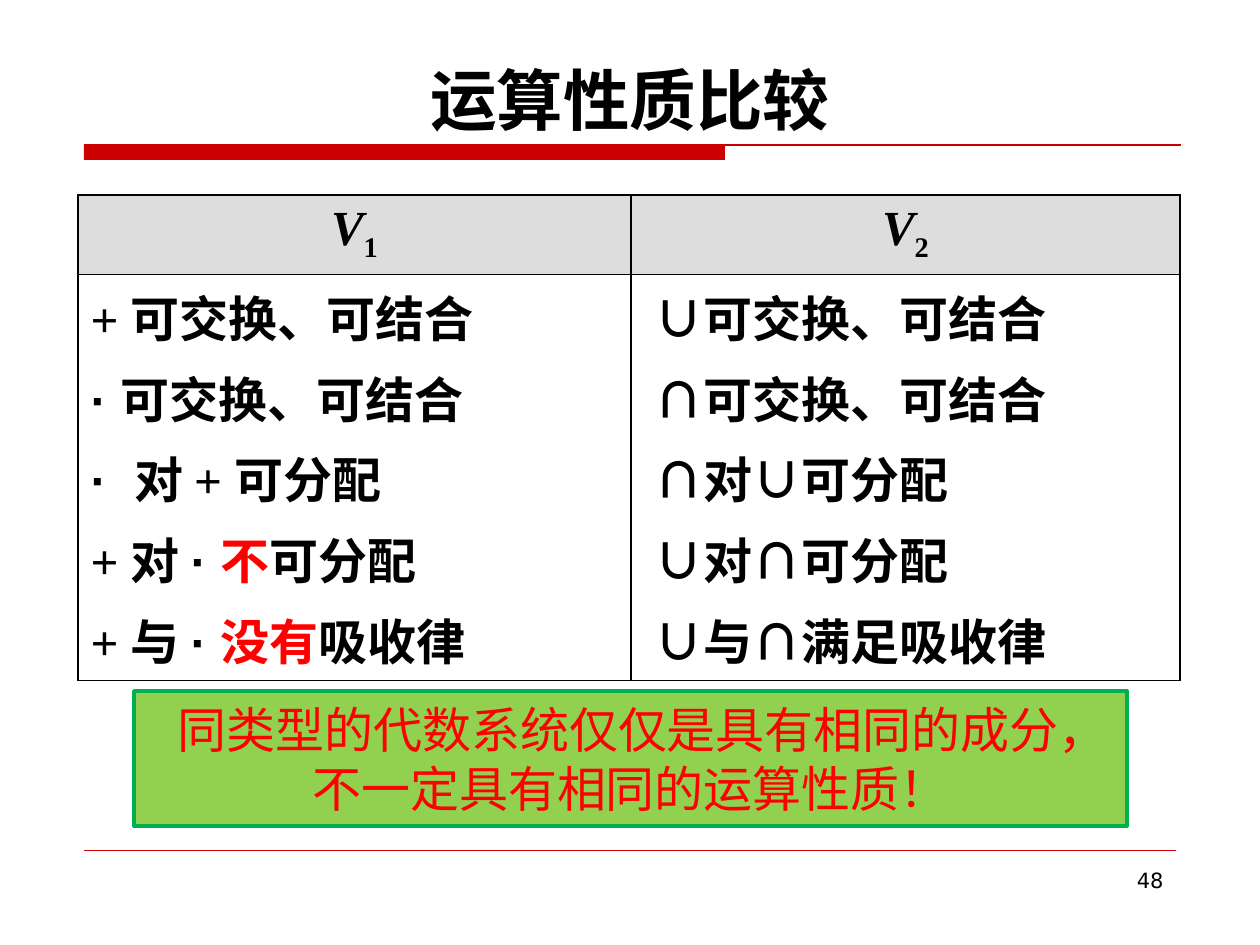
from lxml import etree
from pptx import Presentation
from pptx.dml.color import RGBColor
from pptx.enum.shapes import MSO_CONNECTOR, MSO_SHAPE
from pptx.enum.text import MSO_ANCHOR, PP_ALIGN
from pptx.oxml.ns import qn
from pptx.util import Pt

STRAIGHT = MSO_CONNECTOR.STRAIGHT
RECTANGLE = MSO_SHAPE.RECTANGLE
MIDDLE, BOTTOM = MSO_ANCHOR.MIDDLE, MSO_ANCHOR.BOTTOM
LEFT, CENTER, RIGHT = PP_ALIGN.LEFT, PP_ALIGN.CENTER, PP_ALIGN.RIGHT

SCALE = 914400 / 126
COLORS = {"black": "000000", "rule": "CC0000", "red": "FF0000", "header": "DDDDDD",
          "banner": "92D050", "banner_edge": "00B050"}
SERIF, SANS, NUMBER = "Times New Roman", "Arial", "DejaVu Sans"


def px(value):
    return round(value * SCALE)


def color(name):
    return RGBColor.from_string(COLORS[name])


class Page:
    def __init__(self, deck):
        self.slide = deck.slides.add_slide(deck.slide_layouts[5])
        self.shapes = self.slide.shapes

    def span(self, para, text, size=28, font=SERIF, ink="black", bold=True,
             italic=False, baseline=0):
        run = para.add_run()
        run.text = text
        run.font.size = Pt(size)
        run.font.name = font
        run.font.bold = bold
        run.font.italic = italic
        run.font.color.rgb = color(ink)
        if baseline:
            run._r.get_or_add_rPr().set("baseline", str(baseline * 1000))

    def title(self, text, left, top, width, height):
        box = self.shapes.title
        box.left, box.top, box.width, box.height = map(px, (left, top, width, height))
        box.text_frame.vertical_anchor = BOTTOM
        para = box.text_frame.paragraphs[0]
        para.alignment = CENTER
        self.span(para, text, size=38)

    def label(self, text, left, top, width, height):
        box = self.shapes.add_textbox(*map(px, (left, top, width, height)))
        box.text_frame.word_wrap = True
        para = box.text_frame.paragraphs[0]
        para.alignment = RIGHT
        self.span(para, text, size=12, font=NUMBER, bold=False)

    def line(self, start, end, y, weight):
        rule = self.shapes.add_connector(STRAIGHT, px(start), px(y), px(end), px(y))
        rule.line.color.rgb = color("rule")
        rule.line.width = Pt(weight)
        etree.SubElement(rule._element.spPr, qn("a:effectLst"))

    def rectangle(self, left, top, width, height, fill, edge=None):
        box = self.shapes.add_shape(RECTANGLE, *map(px, (left, top, width, height)))
        box.shadow.inherit = False
        box.fill.solid()
        box.fill.fore_color.rgb = color(fill)
        if edge:
            box.line.color.rgb = color(edge)
            box.line.width = Pt(2)
        else:
            box.line.fill.background()
        return box

    def banner(self, text, left, top, width, height, indent):
        box = self.rectangle(left, top, width, height, "banner", "banner_edge")
        box.text_frame.word_wrap = True
        box.text_frame.vertical_anchor = MIDDLE
        para = box.text_frame.paragraphs[0]
        para.alignment = CENTER
        properties = para._p.get_or_add_pPr()
        properties.set("marL", "0")
        properties.set("indent", str(px(indent)))
        self.span(para, text, ink="red", bold=False)

    def cell_borders(self, cell):
        properties = cell._tc.get_or_add_tcPr()
        for side in ("lnL", "lnR", "lnT", "lnB"):
            border = etree.SubElement(properties, qn(f"a:{side}"), w=str(Pt(1)))
            fill = etree.SubElement(border, qn("a:solidFill"))
            etree.SubElement(fill, qn("a:srgbClr"), val=COLORS["black"])

    def fill_cell(self, cell, lines, header):
        self.cell_borders(cell)
        if header:
            cell.fill.solid()
            cell.fill.fore_color.rgb = color("header")
        else:
            cell.fill.background()
        frame = cell.text_frame
        for index, spans in enumerate(lines):
            para = frame.add_paragraph() if index else frame.paragraphs[0]
            para.alignment = CENTER if header else LEFT
            if index:
                para.space_before = Pt(5.6)
            for text, style in spans:
                self.span(para, text, **style)

    def table(self, rows, left, top, widths, heights):
        frame = self.shapes.add_table(len(heights), len(widths), px(left), px(top),
                                      px(sum(widths)), px(sum(heights)))
        grid = frame.table
        for column, width in zip(grid.columns, widths):
            column.width = px(width)
        for index, (cells, height) in enumerate(zip(rows, heights)):
            grid.rows[index].height = px(height)
            for cell, lines in zip(grid.rows[index].cells, cells):
                self.fill_cell(cell, lines, header=index == 0)


def plain(text):
    return text, {}


def dot(text="· "):
    return text, {"font": SANS}


def red(text):
    return text, {"ink": "red"}


def heading(number):
    return [[("V", {"italic": True}), (number, {"baseline": -25})]]


def main():
    deck = Presentation()
    deck.slide_width, deck.slide_height = px(1260), px(945)
    page = Page(deck)

    page.rectangle(84, 145, 641, 15, "rule")
    page.line(84, 1181, 145, 0.75)
    page.line(84, 1176, 850, 0.25)
    page.label("48", 903, 861, 273, 65)
    page.title("运算性质比较", 79, 42, 1102, 103)

    number_laws = [
        [plain("+ 可交换、可结合")],
        [dot(), plain("可交换、可结合")],
        [dot("·  "), plain("对 + 可分配")],
        [plain("+ 对 "), dot(), red("不"), plain("可分配")],
        [plain("+ 与 "), dot(), red("没有"), plain("吸收律")],
    ]
    set_laws = [[plain(text)] for text in (
        " ∪可交换、可结合", " ∩可交换、可结合", " ∩对∪可分配",
        " ∪对∩可分配", " ∪与∩满足吸收律")]
    page.table([[heading("1"), heading("2")], [number_laws, set_laws]],
               78, 195, (553, 549), (74, 406))

    page.banner("同类型的代数系统仅仅是具有相同的成分，不一定具有相同的运算性质！",
                134, 691, 993, 135, indent=24)
    deck.save("out.pptx")


if __name__ == "__main__":
    main()
